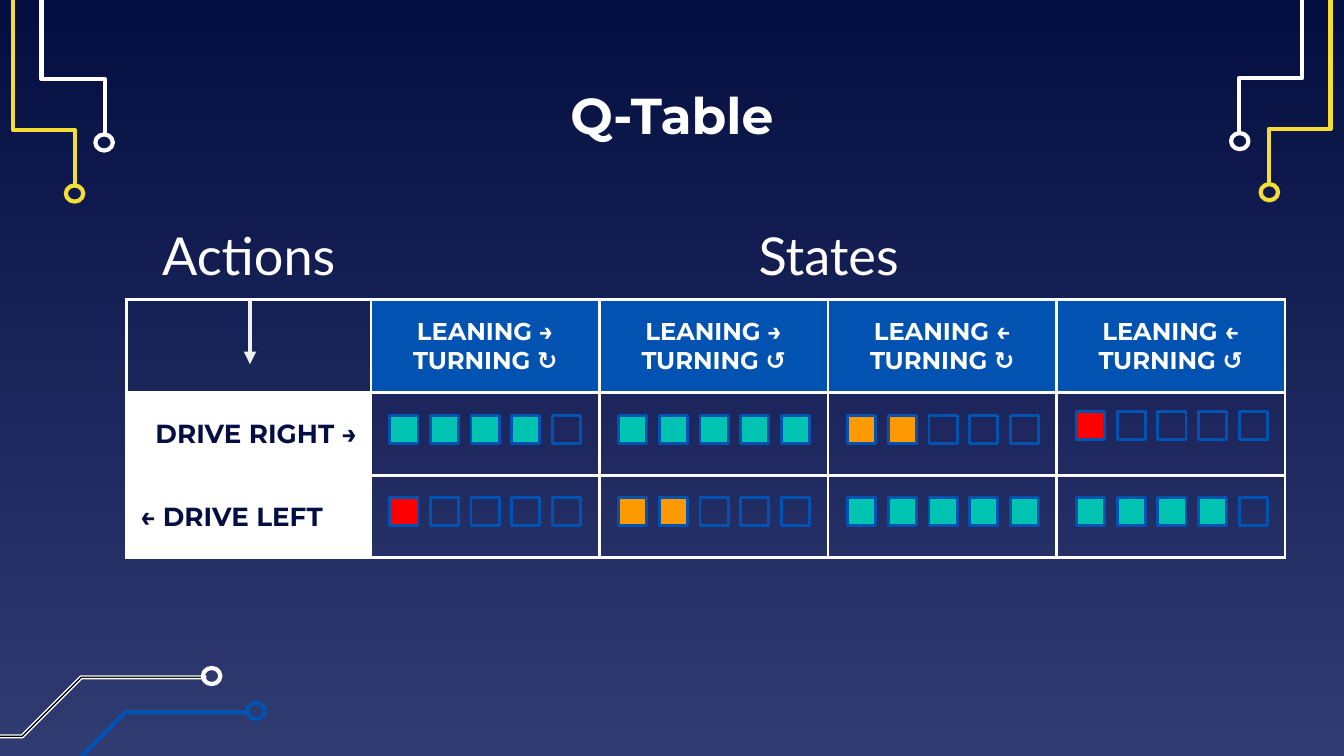
from lxml import etree
from pptx import Presentation
from pptx import util as u
from pptx.dml import color
from pptx.enum import shapes, text
from pptx.oxml import ns

NAVY = color.RGBColor(0x04, 0x0E, 0x41)
INDIGO = color.RGBColor(0x30, 0x3B, 0x72)
BLUE = color.RGBColor(0x01, 0x52, 0xB1)
WHITE = color.RGBColor(0xFF, 0xFF, 0xFF)
BLACK = color.RGBColor(0x00, 0x00, 0x00)
YELLOW = color.RGBColor(0xF5, 0xDE, 0x34)
TEAL = color.RGBColor(0x00, 0xC3, 0xB1)
ORANGE = color.RGBColor(0xFF, 0x99, 0x00)
RED = color.RGBColor(0xFF, 0x00, 0x00)
PALE = color.RGBColor(0xEF, 0xEF, 0xEF)

TITLE = {"name": "Montserrat", "size": u.Pt(27), "bold": True}
HEADING = {"name": "Lato", "size": u.Pt(28), "bold": False}
STATE = {"name": "Montserrat", "size": u.Pt(13), "bold": True}
ACTION = {"name": "Montserrat", "size": u.Pt(14), "bold": True}


def paint(shape, fill, line, width):
    shape.shadow.inherit = False
    if fill is None:
        shape.fill.background()
    else:
        shape.fill.solid()
        shape.fill.fore_color.rgb = fill
    shape.line.color.rgb = line
    shape.line.width = u.Pt(width)


def write(frame, words, values, ink, align):
    frame.text = words
    for para in frame.paragraphs:
        para.alignment = align
        for span in para.runs:
            for name, value in values.items():
                setattr(span.font, name, value)
            span.font.color.rgb = ink


deck = Presentation()
deck.slide_width = u.Inches(10)
deck.slide_height = u.Inches(10) * 9 // 16
page = deck.slides.add_slide(deck.slide_layouts[6])

backdrop = page.background.fill
backdrop.gradient()
backdrop.gradient_angle = 270
for stop, tint, position in zip(backdrop.gradient_stops, (NAVY, INDIGO), (0, 1)):
    stop.color.rgb = tint
    stop.position = position

BAND = [(-0.24, 5.75), (0.5, 5.75), (0.94, 5.31), (1.86, 5.31),
        (1.86, 5.29), (0.93, 5.29), (0.49, 5.73), (-0.24, 5.73)]
WHITE_BAND = [(x - 0.33, y - 0.26) for x, y in BAND]
circuits = [
    (BAND, True, BLUE, BLUE, 0.75, (1.84, 5.23)),
    (WHITE_BAND, True, BLACK, WHITE, 0.75, (1.51, 4.97)),
]
for foot, top, outer, ink, ring in [
    (0.78, 1, 0.31, WHITE, 0.71),
    (0.56, 1.38, 0.1, YELLOW, 0.49),
    (9.22, 0.99, 9.69, WHITE, 9.16),
    (9.44, 1.37, 9.9, YELLOW, 9.38),
]:
    bend = top - 0.41
    wire = [(foot, top), (foot, bend), (outer, bend), (outer, top - 1.52)]
    circuits.append((wire, False, None, ink, 2.25, (ring, top)))

for points, closed, fill, ink, width, (left, top) in circuits:
    corners = [(u.Inches(x), u.Inches(y)) for x, y in points]
    builder = page.shapes.build_freeform(*corners[0])
    builder.add_line_segments(corners[1:], close=closed)
    paint(builder.convert_to_shape(), fill, ink, width)
    ring = page.shapes.add_shape(
        shapes.MSO_SHAPE.OVAL, u.Inches(left), u.Inches(top), u.Inches(0.13), u.Inches(0.12))
    paint(ring, None, ink, 2.25)

for words, left, top, width, height, values, anchor in [
    ("Q-Table", 0.78, 0.59, 8.44, 0.52, TITLE, text.MSO_ANCHOR.MIDDLE),
    ("States", 2.77, 1.62, 6.79, 0.61, HEADING, text.MSO_ANCHOR.BOTTOM),
    ("Actions", 0.94, 1.62, 1.82, 0.61, HEADING, text.MSO_ANCHOR.BOTTOM),
]:
    box = page.shapes.add_textbox(
        u.Inches(left), u.Inches(top), u.Inches(width), u.Inches(height))
    layout = {"word_wrap": True, "vertical_anchor": anchor}
    layout.update({f"margin_{side}": u.Inches(0.1) for side in ("left", "right", "top", "bottom")})
    for name, value in layout.items():
        setattr(box.text_frame, name, value)
    write(box.text_frame, words, values, WHITE, text.PP_ALIGN.CENTER)

grid = page.shapes.add_table(
    3, 5, u.Inches(0.94), u.Inches(2.23), u.Inches(8.62), u.Inches(1.92)).table
grid.first_row = False
grid.horz_banding = False
for column, width in zip(grid.columns, [1.82] + [1.7] * 4):
    column.width = u.Inches(width)
for row, height in zip(grid.rows, (0.69, 0.62, 0.61)):
    row.height = u.Inches(height)

states = ["LEANING →\vTURNING ↻", "LEANING →\nTURNING ↺",
          "LEANING ←\nTURNING ↻", "LEANING ←\nTURNING ↺"]
labels = {(0, i): (words, STATE, WHITE, BLUE, text.PP_ALIGN.CENTER)
          for i, words in enumerate(states, 1)}
labels[1, 0] = ("DRIVE RIGHT →", ACTION, NAVY, WHITE, text.PP_ALIGN.RIGHT)
labels[2, 0] = ("← DRIVE LEFT", ACTION, NAVY, WHITE, text.PP_ALIGN.LEFT)

for r in range(3):
    for c in range(5):
        cell = grid.cell(r, c)
        cell.vertical_anchor = text.MSO_ANCHOR.MIDDLE
        props = cell._tc.get_or_add_tcPr()
        for side in ("a:lnL", "a:lnR", "a:lnT", "a:lnB"):
            border = etree.SubElement(props, ns.qn(side), w=str(u.Pt(1.47)))
            solid = etree.SubElement(border, ns.qn("a:solidFill"))
            etree.SubElement(solid, ns.qn("a:srgbClr"), val=str(WHITE))
        if (r, c) in labels:
            words, values, ink, fill, align = labels[r, c]
            cell.fill.solid()
            cell.fill.fore_color.rgb = fill
            write(cell.text_frame, words, values, ink, align)
        else:
            cell.fill.background()

scores = [
    (0, 3.09, 4, TEAL), (1, 3.09, 5, TEAL), (2, 3.09, 2, ORANGE), (3, 3.06, 1, RED),
    (0, 3.7, 1, RED), (1, 3.7, 2, ORANGE), (2, 3.7, 5, TEAL), (3, 3.7, 4, TEAL),
]
for state, top, filled, tint in scores:
    for i in range(5):
        left = 2.9 + state * 5.11 / 3 + i * 1.21 / 4
        square = page.shapes.add_shape(
            shapes.MSO_SHAPE.RECTANGLE, u.Inches(left), u.Inches(top),
            u.Inches(0.21), u.Inches(0.21))
        paint(square, tint if i < filled else None, BLUE, 1.5)

arrow = page.shapes.add_connector(
    shapes.MSO_CONNECTOR.STRAIGHT, u.Inches(1.86), u.Inches(2.23), u.Inches(1.86), u.Inches(2.71))
arrow.line.color.rgb = PALE
arrow.line.width = u.Pt(2.25)
etree.SubElement(arrow.line._get_or_add_ln(), ns.qn("a:tailEnd"), type="triangle")
etree.SubElement(arrow._element.spPr, ns.qn("a:effectLst"))

deck.save("out.pptx")
